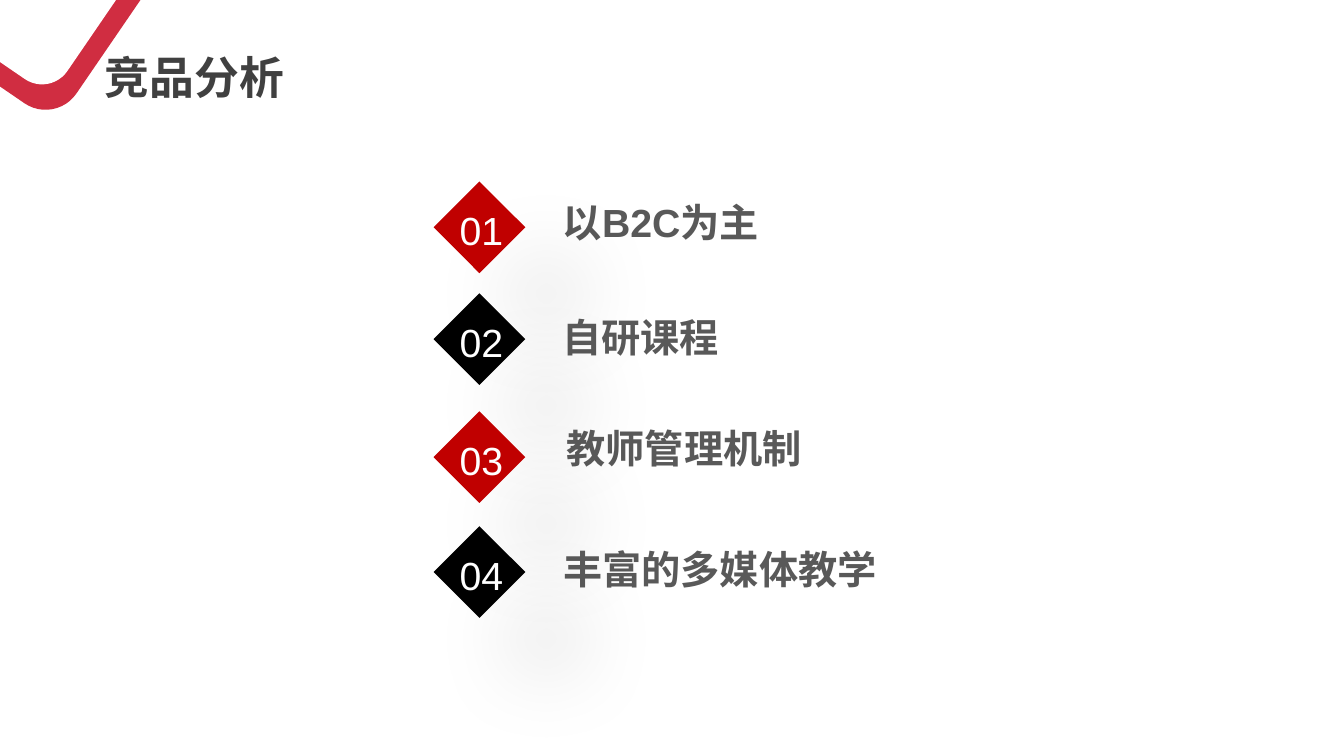
from dataclasses import dataclass

from lxml import etree
from pptx import Presentation
from pptx.dml.color import RGBColor
from pptx.enum.shapes import MSO_SHAPE as SHAPE
from pptx.enum.text import MSO_AUTO_SIZE as AUTO, PP_ALIGN as ALIGN
from pptx.oxml import parse_xml
from pptx.oxml.ns import nsdecls, qn
from pptx.util import Inches, Pt


@dataclass(frozen=True)
class Theme:
    corner: str = "D02D41"
    red: str = "C00000"
    black: str = "000000"
    white: str = "FFFFFF"
    title: str = "404040"
    label: str = "595959"
    title_size: int = 32
    body_size: int = 28
    latin: str = "Arial"
    cjk: str = "Noto Sans CJK SC"


class SlideBuilder:
    def __init__(self, slide, theme):
        self.s = slide
        self.theme = theme

    def shape(self, kind, box, fill, rotation=0):
        sp = self.s.shapes.add_shape(kind, *map(Inches, box))
        sp.rotation = rotation
        sp.fill.solid()
        sp.fill.fore_color.rgb = RGBColor.from_string(fill)
        sp.line.fill.background()
        sp.shadow.inherit = False
        return sp

    def text(self, box, text, size, color, font, bold=False,
             align=ALIGN.LEFT, spacing=None):
        tf = self.s.shapes.add_textbox(*map(Inches, box)).text_frame
        tf.word_wrap = True
        tf.auto_size = AUTO.SHAPE_TO_FIT_TEXT
        p = tf.paragraphs[0]
        p.alignment = align
        p.line_spacing = spacing
        r = p.add_run()
        r.text = text
        r.font.size = Pt(size)
        r.font.bold = bold
        r.font.name = font
        r.font.color.rgb = RGBColor.from_string(color)
        etree.SubElement(r.font._element, qn("a:ea"), typeface=self.theme.cjk)

    def soft_shadow(self, sp):
        effects = sp._element.spPr.find(qn("a:effectLst"))
        effects.append(parse_xml(
            f'<a:outerShdw {nsdecls("a")} blurRad="{Pt(61)}" dist="{Pt(67)}"'
            ' dir="2700000" algn="tl" rotWithShape="0">'
            f'<a:srgbClr val="{self.theme.black}"><a:alpha val="11000"/>'
            '</a:srgbClr></a:outerShdw>'))

    def item(self, number, top, fill, label, label_top, label_width):
        t = self.theme
        self.text((5.47, label_top, label_width, 0.57), label, t.body_size,
                  t.label, t.latin, bold=True, align=ALIGN.CENTER)
        diamond = self.shape(SHAPE.DIAMOND, (4.3, top, 0.91, 0.91), fill)
        self.soft_shadow(diamond)
        self.text((4.37, top + 0.13, 0.81, 0.59), f"{number:02d}", t.body_size,
                  t.white, t.latin, align=ALIGN.CENTER, spacing=1.14)


# Label, diamond top, label top, label width
ITEMS = [
    ("以B2C为主", 1.8, 1.92, 2.17),
    ("自研课程", 2.91, 3.06, 1.77),
    ("教师管理机制", 4.08, 4.16, 2.63),
    ("丰富的多媒体教学", 5.22, 5.36, 3.34),
]


def main():
    prs = Presentation()
    prs.slide_width, prs.slide_height = Inches(13.33), Inches(7.5)
    theme = Theme()
    b = SlideBuilder(prs.slides.add_slide(prs.slide_layouts[6]), theme)

    # Title and corner frame
    b.text((0.94, 0.44, 3.92, 0.64), "竞品分析", theme.title_size,
           theme.title, theme.cjk, bold=True)
    for inset, fill in ((0, theme.corner), (0.2, theme.white)):
        side = 2.22 - 2 * inset
        b.shape(SHAPE.ROUNDED_RECTANGLE,
                (-0.85 + inset, -1.42 + inset, side, side), fill, 304.4)

    # Numbered points in alternating colours
    for i, (label, top, label_top, width) in enumerate(ITEMS):
        fill = (theme.red, theme.black)[i % 2]
        b.item(i + 1, top, fill, label, label_top, width)

    prs.save("out.pptx")


if __name__ == "__main__":
    main()
